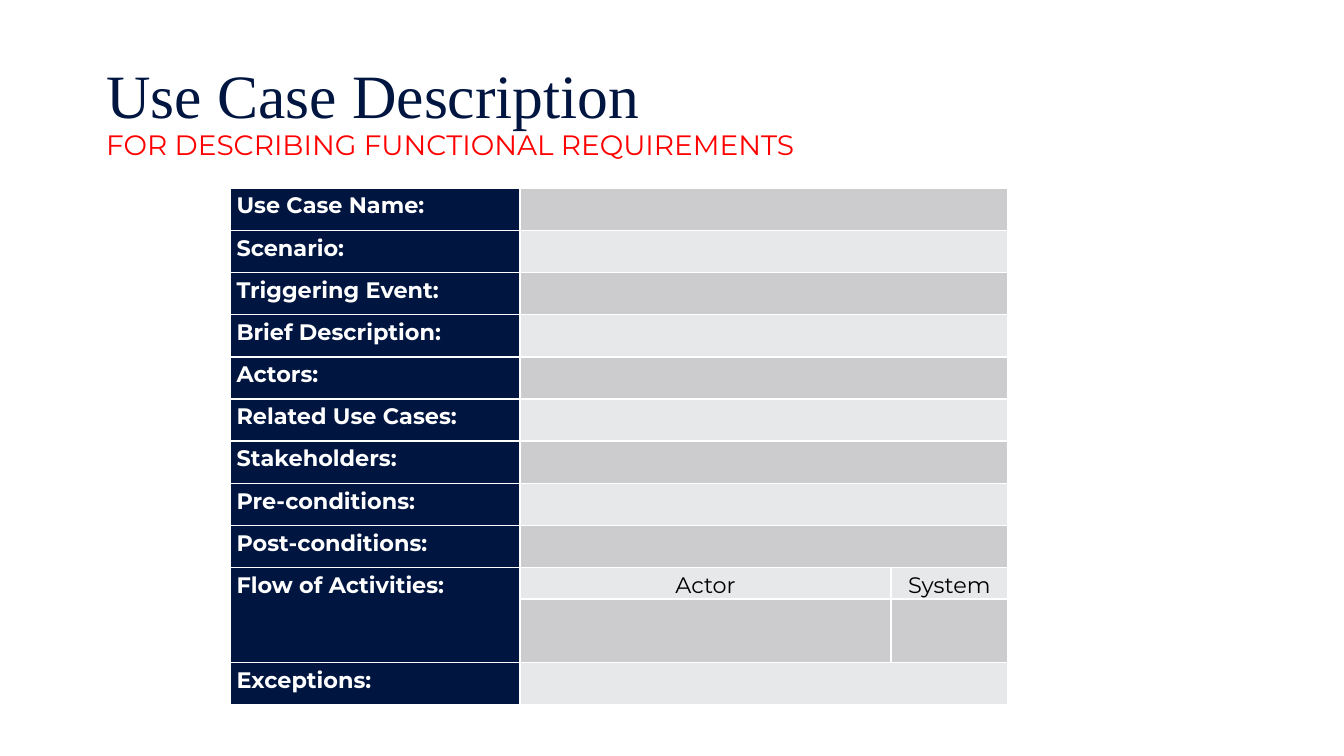
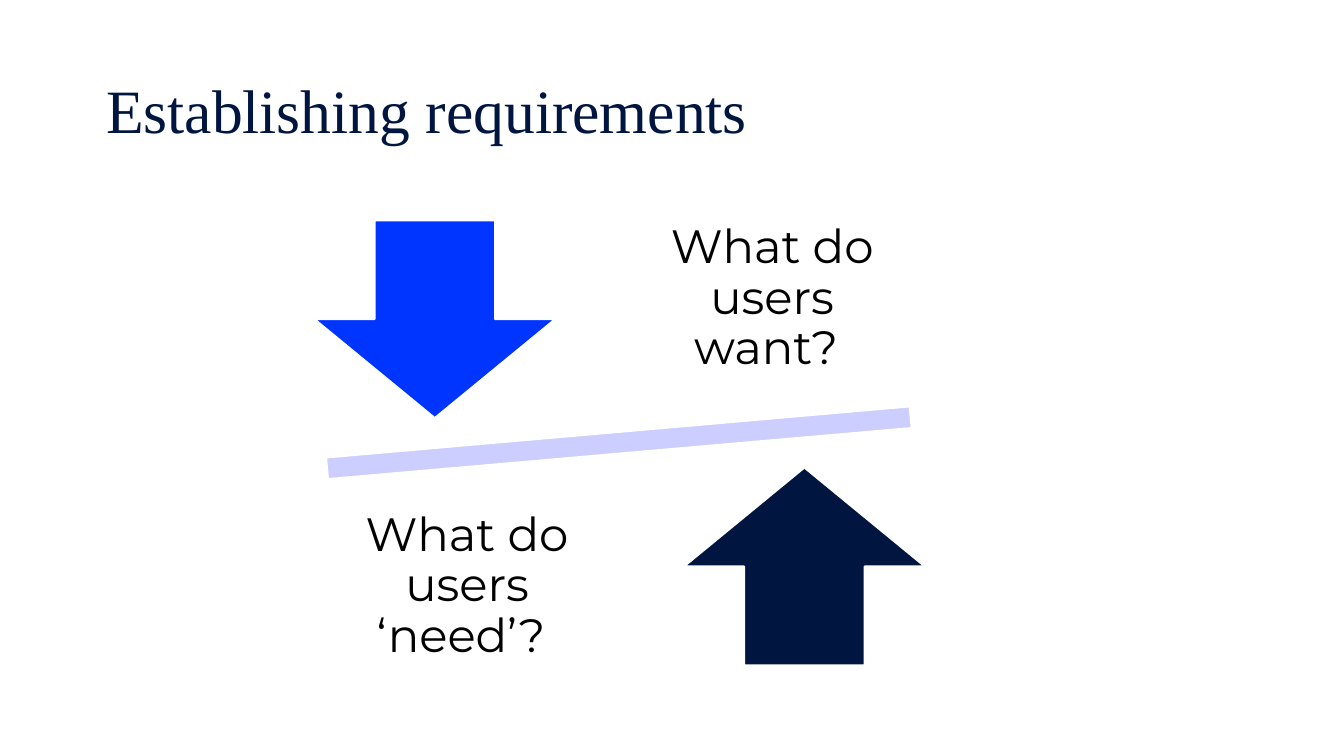
from dataclasses import dataclass

from lxml import etree
from pptx import Presentation
from pptx import util as u
from pptx.dml.color import RGBColor
from pptx.enum import shapes, text
from pptx.oxml.ns import qn


@dataclass(frozen=True)
class Theme:
    navy: str = "001641"
    blue: str = "0034FF"
    lavender: str = "CCCEFF"
    red: str = "FF0000"
    white: str = "FFFFFF"
    black: str = "000000"
    bands: tuple = ("CCCCCF", "E7E8E9")
    heading_font: str = "Times New Roman"
    body_font: str = "Montserrat"
    title_size: int = 33
    subtitle_size: int = 15
    table_size: int = 12
    question_size: int = 25


THEME = Theme()
SLIDE_WIDTH = 10
SLIDE_HEIGHT = SLIDE_WIDTH * 9 / 16
TITLE_BOX = (0.69, 0.3, 8.62, 1.09)
TABLE_BOX = (1.71, 1.4, 5.79, 3.84)
BALANCE_BOX = (1.64, 1.45, 5.93, 3.69)
FIELDS = ["Use Case Name:", "Scenario:", "Triggering Event:", "Brief Description:",
          "Actors:", "Related Use Cases:", "Stakeholders:", "Pre-conditions:",
          "Post-conditions:", "Flow of Activities:", "", "Exceptions:"]
FLOW_ROW = FIELDS.index("Flow of Activities:")


def color(value):
    return RGBColor.from_string(value)


def inches(box):
    return [u.Inches(length) for length in box]


def style_font(font, size, value, name=THEME.body_font, bold=False):
    font.size, font.name, font.bold = u.Pt(size), name, bold
    font.color.rgb = color(value)


def set_margins(target, horizontal, vertical):
    target.margin_left = target.margin_right = u.Inches(horizontal)
    target.margin_top = target.margin_bottom = u.Inches(vertical)


# Title, with an optional subtitle on a second line
def add_title_slide(presentation, title, subtitle=None):
    slide = presentation.slides.add_slide(presentation.slide_layouts[5])
    shape = slide.shapes.title
    shape.left, shape.top, shape.width, shape.height = inches(TITLE_BOX)
    frame = shape.text_frame
    frame.auto_size = text.MSO_AUTO_SIZE.NONE
    frame.vertical_anchor = text.MSO_ANCHOR.MIDDLE
    paragraph = frame.paragraphs[0]
    paragraph.text = f"{title}\v{subtitle}" if subtitle else title
    paragraph.alignment = text.PP_ALIGN.LEFT
    paragraph.line_spacing = 0.9
    style_font(paragraph.runs[0].font, THEME.title_size, THEME.navy, THEME.heading_font)
    for run in paragraph.runs[1:]:
        style_font(run.font, THEME.subtitle_size, THEME.red)
    return slide


# Table cells
def add_borders(cell):
    properties = cell._tc.get_or_add_tcPr()
    for index, side in enumerate(("lnL", "lnR", "lnT", "lnB")):
        line = etree.Element(qn(f"a:{side}"), w=str(u.Pt(1)))
        fill = etree.SubElement(line, qn("a:solidFill"))
        etree.SubElement(fill, qn("a:srgbClr"), val=THEME.white)
        properties.insert(index, line)


def format_cell(cell, fill, words="", value=THEME.black, bold=False, centered=False):
    cell.fill.solid()
    cell.fill.fore_color.rgb = color(fill)
    add_borders(cell)
    set_margins(cell, 0.05, 0)
    paragraph = cell.text_frame.paragraphs[0]
    paragraph.text = words
    paragraph.line_spacing = 1.15
    if centered:
        paragraph.alignment = text.PP_ALIGN.CENTER
    for run in paragraph.runs:
        style_font(run.font, THEME.table_size, value, bold=bold)
    if not words:  # keeps empty rows from growing
        etree.SubElement(paragraph._p, qn("a:endParaRPr"), sz=str(THEME.table_size * 100))


def add_use_case_table(slide, box):
    table = slide.shapes.add_table(len(FIELDS), 3, *inches(box)).table
    for column, width in zip(table.columns, (2.16, 2.76, 0.87)):
        column.width = u.Inches(width)
    # The other rows share the height that the two flow rows leave
    flow_heights = {FLOW_ROW: 0.23, FLOW_ROW + 1: 0.47}
    row_height = (box[3] - sum(flow_heights.values())) / (len(FIELDS) - len(flow_heights))
    for index, field in enumerate(FIELDS):
        table.rows[index].height = u.Inches(flow_heights.get(index, row_height))
        band = THEME.bands[index % 2]
        format_cell(table.cell(index, 0), THEME.navy, field, THEME.white, bold=True)
        headings = ("Actor", "System") if index == FLOW_ROW else ("", "")
        for column, heading in enumerate(headings, start=1):
            format_cell(table.cell(index, column), band, heading, centered=True)
        if index not in flow_heights:
            table.cell(index, 1).merge(table.cell(index, 2))
    table.cell(FLOW_ROW, 0).merge(table.cell(FLOW_ROW + 1, 0))


# Balance diagram: a tilted beam, two arrows and two questions
def add_filled_shape(group, kind, box, fill):
    shape = group.shapes.add_shape(kind, *inches(box))
    shape.shadow.inherit = False
    shape.fill.solid()
    shape.fill.fore_color.rgb = color(fill)
    shape.line.color.rgb = color(THEME.white)
    shape.line.width = u.Pt(1)
    return shape


def add_question(group, box, words):
    frame = group.shapes.add_textbox(*inches(box)).text_frame
    frame.word_wrap = True
    frame.vertical_anchor = text.MSO_ANCHOR.MIDDLE
    set_margins(frame, 0.19, 0.19)
    paragraph = frame.paragraphs[0]
    paragraph.text = words
    paragraph.alignment = text.PP_ALIGN.CENTER
    paragraph.line_spacing = 0.9
    style_font(paragraph.runs[0].font, THEME.question_size, THEME.black)


def add_balance(slide, box):
    left, top, width, height = box
    group = slide.shapes.add_group_shape()
    kinds = shapes.MSO_SHAPE
    arrow_width, arrow_height, inset = 1.79, 1.47, 0.19
    question_width, question_height = 1.91, 1.55
    beam_height = 0.68

    beam_top = top + (height - beam_height) / 2
    beam = add_filled_shape(group, kinds.MATH_MINUS,
                            (left, beam_top, width, beam_height), THEME.lavender)
    beam.rotation = 355

    add_filled_shape(group, kinds.DOWN_ARROW,
                     (left + 0.7, top + inset, arrow_width, arrow_height), THEME.blue)
    add_question(group, (left + 3.15, top, question_width, question_height),
                 "What do users want? ")

    add_filled_shape(group, kinds.UP_ARROW,
                     (left + width - 0.69 - arrow_width, top + height - inset - arrow_height,
                      arrow_width, arrow_height), THEME.navy)
    add_question(group, (left + 0.88, top + height - question_height,
                         question_width, question_height), "What do users ‘need’? ")


def main():
    presentation = Presentation()
    presentation.slide_width = u.Inches(SLIDE_WIDTH)
    presentation.slide_height = u.Inches(SLIDE_HEIGHT)

    slide = add_title_slide(presentation, "Use Case Description",
                            "FOR DESCRIBING FUNCTIONAL REQUIREMENTS")
    add_use_case_table(slide, TABLE_BOX)

    slide = add_title_slide(presentation, "Establishing requirements")
    add_balance(slide, BALANCE_BOX)

    presentation.save("out.pptx")


if __name__ == "__main__":
    main()
